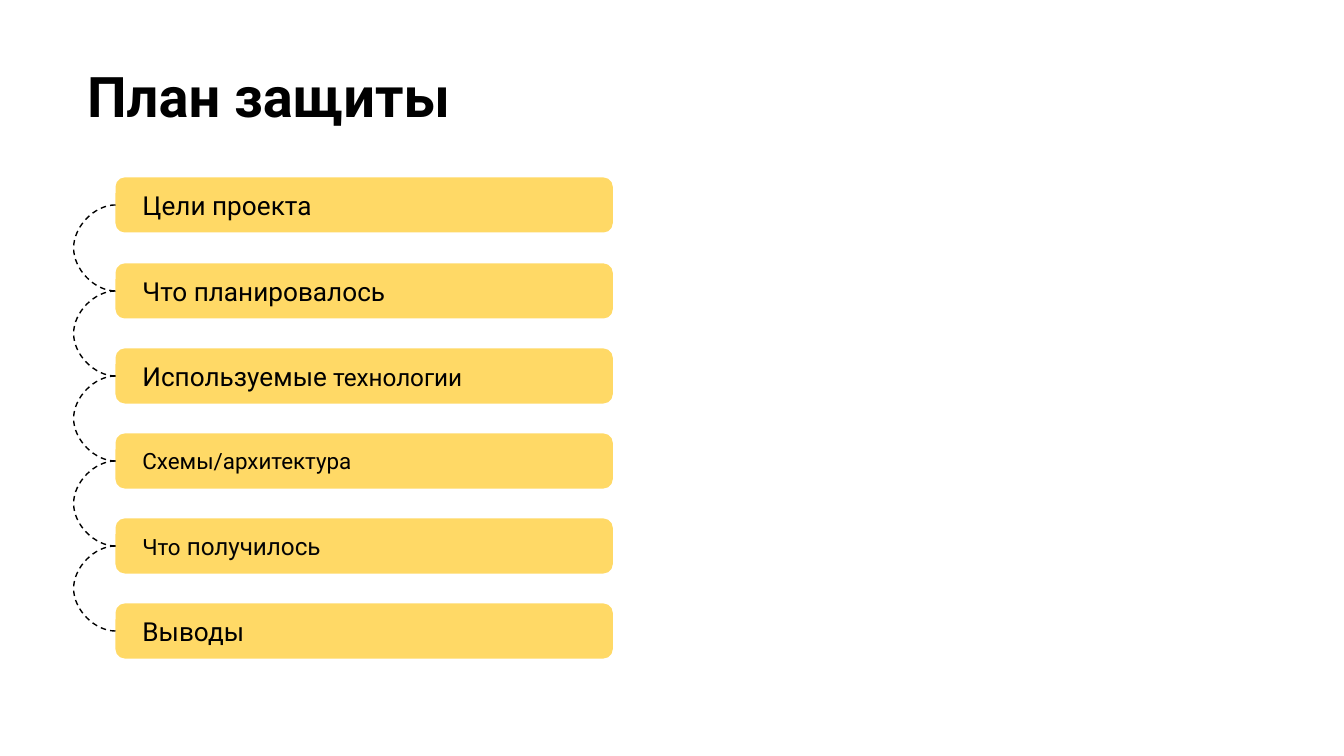
from itertools import pairwise

from lxml import etree
from pptx import Presentation
from pptx.dml.color import RGBColor
from pptx.enum.dml import MSO_LINE
from pptx.enum.shapes import MSO_CONNECTOR, MSO_SHAPE
from pptx.enum.text import MSO_ANCHOR, PP_ALIGN
from pptx.oxml.ns import qn
from pptx.util import Emu, Inches, Pt

CURVE = MSO_CONNECTOR.CURVE
ROUNDED = MSO_SHAPE.ROUNDED_RECTANGLE
DASH = MSO_LINE.DASH
MIDDLE = MSO_ANCHOR.MIDDLE
LEFT = PP_ALIGN.LEFT

BLACK = "000000"
YELLOW = "FFD966"
ROW_LEFT, ROW_WIDTH, ROW_HEIGHT = 0.86, 3.7, 0.41
FIRST_TOP, SECOND_TOP, LAST_TOP = 1.32, 1.96, 4.49
CURVE_WIDTH = 600
BULGE = 0.26

TOPICS = [
    [("Цели проекта", 14, BLACK)],
    [("Что планировалось", 14, BLACK)],
    [("Используемые", 14, BLACK), (" технологии", 13, BLACK)],
    [("Схемы/архитектура", 12, BLACK)],
    [("Что", 12, BLACK), (" получилось", 13, "050505")],
    [("Выводы", 14, BLACK)],
]
ROW_STEP = (LAST_TOP - SECOND_TOP) / (len(TOPICS) - 2)
TOPS = [FIRST_TOP] + [SECOND_TOP + i * ROW_STEP for i in range(len(TOPICS) - 1)]


def color(value):
    return RGBColor.from_string(value)


def add_span(para, text, size, shade, bold=False):
    span = para.add_run()
    span.text = text
    span.font.name = "Roboto"
    span.font.size = Pt(size)
    span.font.bold = bold
    span.font.color.rgb = color(shade)


deck = Presentation()
deck.slide_width = Inches(10)
deck.slide_height = deck.slide_width * 9 // 16
page = deck.slides.add_slide(deck.slide_layouts[6])

title = page.shapes.add_textbox(Inches(0.55), Inches(0.36), Inches(9.32), Inches(1.2))
title.text_frame.word_wrap = True
title.text_frame.margin_top = title.text_frame.margin_bottom = Inches(0.1)
add_span(title.text_frame.paragraphs[0], "План защиты", 30, BLACK, bold=True)

for top, topic in zip(TOPS, TOPICS):
    row = page.shapes.add_shape(
        ROUNDED, Inches(ROW_LEFT), Inches(top), Inches(ROW_WIDTH), Inches(ROW_HEIGHT)
    )
    row.shadow.inherit = False
    row.adjustments[0] = 0.17
    row.fill.solid()
    row.fill.fore_color.rgb = color(YELLOW)
    row.line.fill.background()
    frame = row.text_frame
    frame.word_wrap = True
    frame.vertical_anchor = MIDDLE
    frame.margin_left = frame.margin_right = Inches(0.18)
    frame.margin_top = frame.margin_bottom = Inches(0.1)
    para = frame.paragraphs[0]
    para.alignment = LEFT
    for text, size, shade in topic:
        add_span(para, text, size, shade)

for upper, lower in pairwise(TOPS):
    link = page.shapes.add_connector(
        CURVE,
        Inches(ROW_LEFT),
        Inches(upper + ROW_HEIGHT / 2),
        Inches(ROW_LEFT) + Emu(CURVE_WIDTH),
        Inches(lower + ROW_HEIGHT / 2),
    )
    link.line.color.rgb = color(BLACK)
    link.line.width = Pt(0.75)
    link.line.dash_style = DASH
    properties = link._element.spPr
    etree.SubElement(properties, qn("a:effectLst"))
    guides = properties.find(qn("a:prstGeom")).get_or_add_avLst()
    bend = -round(Inches(BULGE) / CURVE_WIDTH * 100000)
    etree.SubElement(guides, qn("a:gd"), name="adj1", fmla=f"val {bend}")

deck.save("out.pptx")
